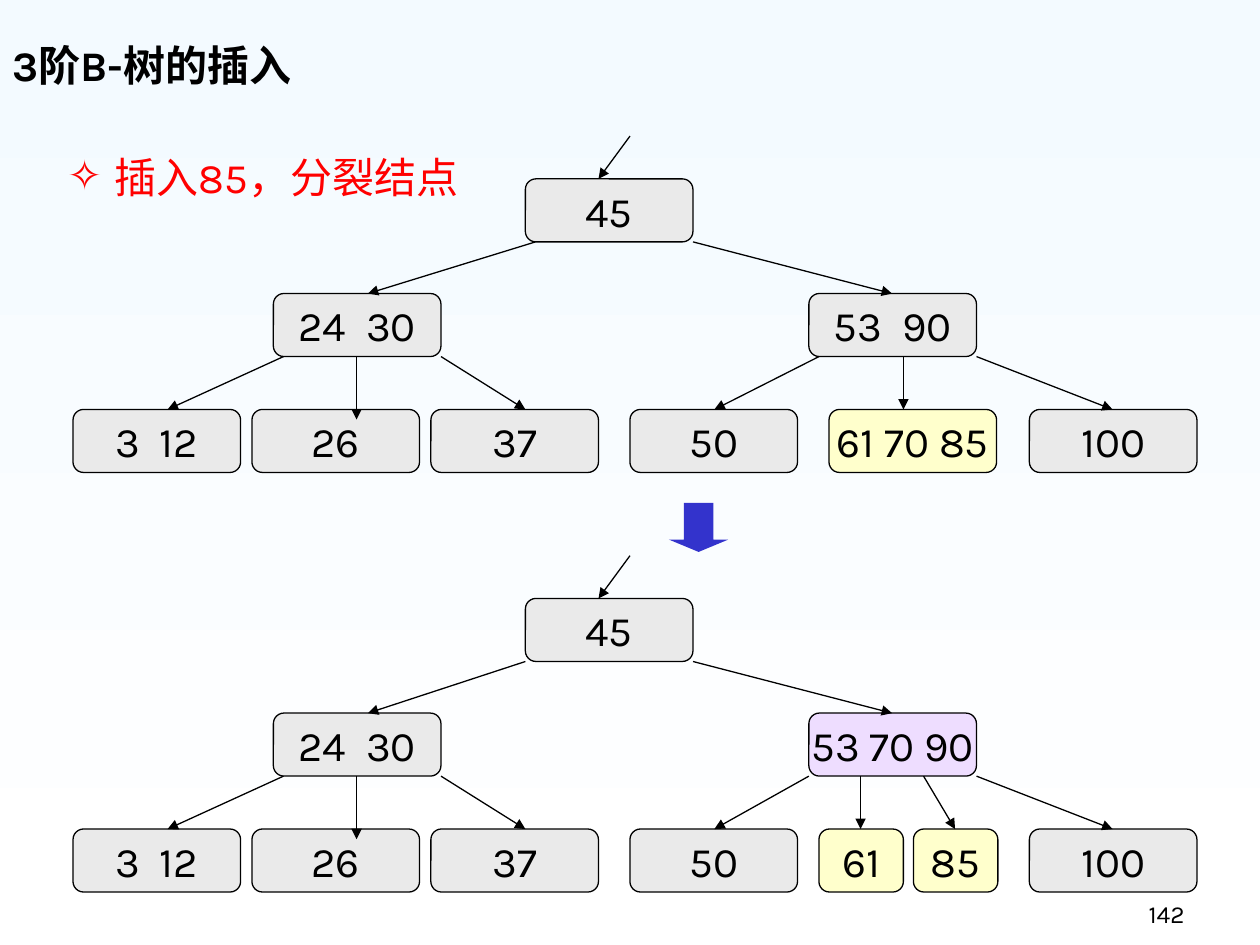
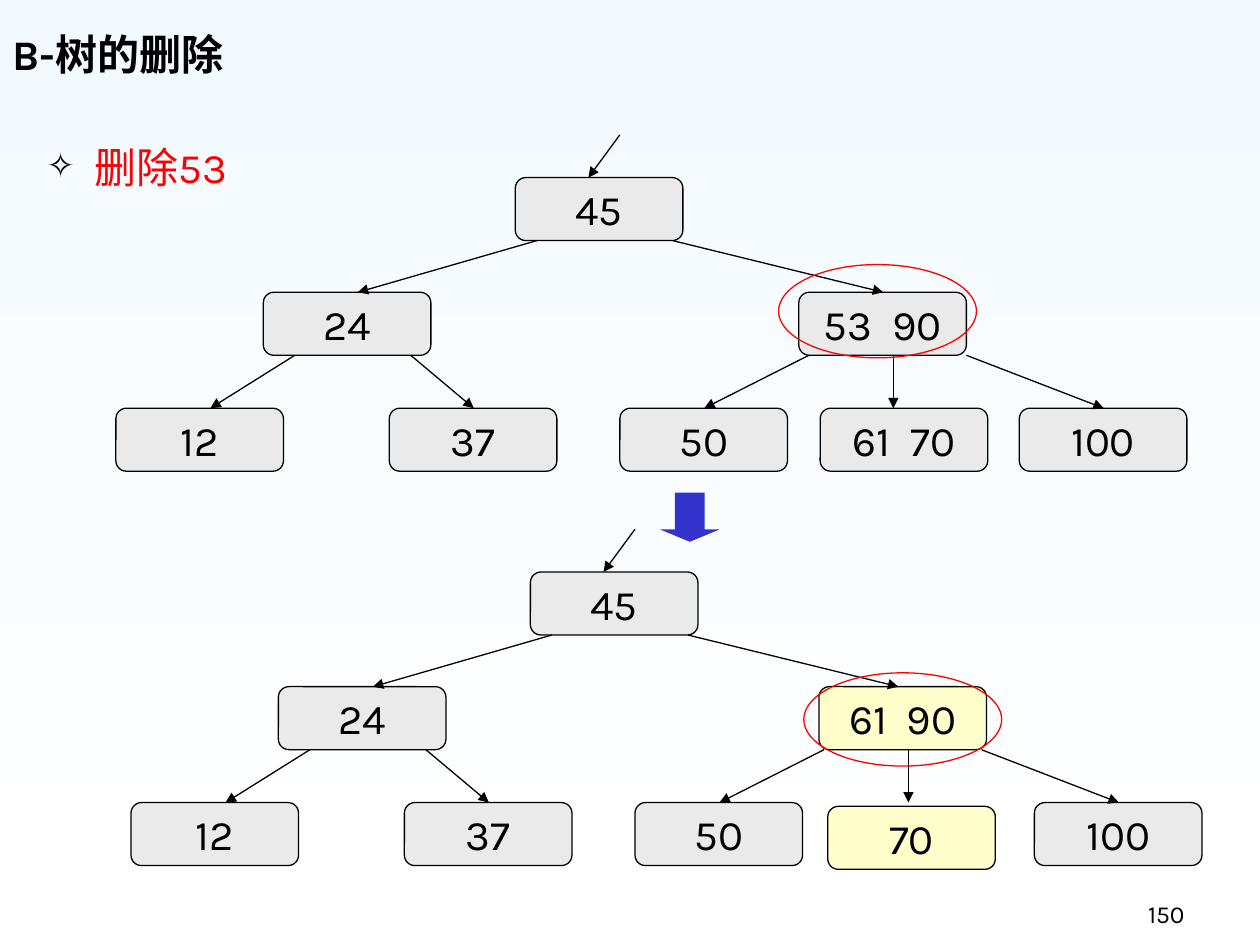
"""Build two slides on inserting into and deleting from a B-tree."""
from dataclasses import dataclass
from typing import NamedTuple

import lxml.etree
import pptx
import pptx.dml.color
import pptx.enum.shapes
import pptx.enum.text
import pptx.oxml.ns
import pptx.util

Inches = pptx.util.Inches
Pt = pptx.util.Pt
SHAPE = pptx.enum.shapes.MSO_SHAPE
ALIGN = pptx.enum.text.PP_ALIGN
ANCHOR = pptx.enum.text.MSO_ANCHOR


@dataclass(frozen=True)
class Theme:
    font: str = "Karla"
    text_size: int = 24
    number_size: int = 14
    line_width: float = 0.75
    ink: str = "000000"
    accent: str = "FF0000"
    arrow: str = "3333CC"
    node: str = "EAEAEA"
    changed: str = "FFFFCC"
    overfull: str = "EEDDFF"
    sky: str = "F3FAFF"
    white: str = "FFFFFF"


THEME = Theme()
LEVEL_TOPS = (0, 0.91, 1.83)
NODE_WIDTH, NODE_HEIGHT = 1.33, 0.5


class Box(NamedTuple):
    left: float
    top: float
    width: float
    height: float


class Node(NamedTuple):
    left: float
    level: int
    text: str
    fill: str = THEME.node
    width: float = NODE_WIDTH
    drop: float = 0


class Edge(NamedTuple):
    start: float
    level: int
    end: float
    overlap: float = 0


@dataclass(frozen=True)
class Tree:
    top: float
    stem: float
    nodes: list[Node]
    edges: list[Edge]
    shift: float = 0


@dataclass(frozen=True)
class Page:
    title: str
    title_top: float
    step: str
    step_box: Box
    step_align: int
    bullet_color: str
    bullet_percent: int
    trees: list[Tree]
    rings: list[Box]
    arrow: Box
    number: str


def rgb(color: str) -> pptx.dml.color.RGBColor:
    return pptx.dml.color.RGBColor.from_string(color)


def place(sp, box: Box) -> None:
    sp.left, sp.top, sp.width, sp.height = map(Inches, box)


def write(sp, text: str, align: int, anchor: int, size: int = THEME.text_size,
          color: str = THEME.ink, bold: bool = False, wrap: bool = True):
    tf = sp.text_frame
    tf.auto_size = pptx.enum.text.MSO_AUTO_SIZE.NONE
    tf.word_wrap = wrap
    tf.vertical_anchor = anchor
    p = tf.paragraphs[0]
    p.text = text
    p.alignment = align
    for r in p.runs:
        r.font.name, r.font.size, r.font.bold = THEME.font, Pt(size), bold
        r.font.color.rgb = rgb(color)
    return p


def add_xml(parent, tag: str, **attributes: str):
    return lxml.etree.SubElement(parent, pptx.oxml.ns.qn(tag), attributes)


def add_outline(sp, color: str) -> None:
    sp.line.color.rgb = rgb(color)
    sp.line.width = Pt(THEME.line_width)


def add_shape(s, kind: int, box: Box, fill: str = "", line: str = ""):
    sp = s.shapes.add_shape(kind, *map(Inches, box))
    sp.shadow.inherit = False
    if fill:
        sp.fill.solid()
        sp.fill.fore_color.rgb = rgb(fill)
    else:
        sp.fill.background()
    if line:
        add_outline(sp, line)
    else:
        sp.line.fill.background()
    return sp


def add_arrow(s, x1: float, y1: float, x2: float, y2: float) -> None:
    c = s.shapes.add_connector(pptx.enum.shapes.MSO_CONNECTOR.STRAIGHT,
                               *map(Inches, (x1, y1, x2, y2)))
    add_outline(c, THEME.ink)
    sp_pr = c._element.spPr
    add_xml(sp_pr.find(pptx.oxml.ns.qn("a:ln")), "a:tailEnd", type="triangle")
    add_xml(sp_pr, "a:effectLst")


def add_tree(s, tree: Tree) -> None:
    for node in tree.nodes:
        top = tree.top + LEVEL_TOPS[node.level] + node.drop
        sp = add_shape(s, SHAPE.ROUNDED_RECTANGLE,
                       Box(node.left + tree.shift, top, node.width, NODE_HEIGHT),
                       node.fill, THEME.ink)
        write(sp, node.text, ALIGN.CENTER, ANCHOR.MIDDLE, wrap=False)
    stem = tree.stem + tree.shift
    add_arrow(s, stem + 0.25, tree.top - 0.34, stem, tree.top)
    for edge in tree.edges:
        add_arrow(s, edge.start + tree.shift,
                  tree.top + LEVEL_TOPS[edge.level] + NODE_HEIGHT,
                  edge.end + tree.shift,
                  tree.top + LEVEL_TOPS[edge.level + 1] + edge.overlap)


def add_step(s, page: Page) -> None:
    sp = s.placeholders[1]
    place(sp, page.step_box)
    p = write(sp, page.step, page.step_align, ANCHOR.TOP, color=THEME.accent)
    p_pr = p._p.get_or_add_pPr()
    p_pr.set("marL", str(Inches(0.38)))
    p_pr.set("indent", str(Inches(-0.38)))
    add_xml(add_xml(p_pr, "a:buClr"), "a:srgbClr", val=page.bullet_color)
    add_xml(p_pr, "a:buSzPct", val=str(page.bullet_percent * 1000))
    add_xml(p_pr, "a:buChar", char="✧")


def add_page(prs, page: Page) -> None:
    s = prs.slides.add_slide(prs.slide_layouts[1])
    place(s.shapes.title, Box(0, page.title_top, 8.52, 0.68))
    write(s.shapes.title, page.title, ALIGN.LEFT, ANCHOR.BOTTOM, bold=True)
    add_step(s, page)
    for tree in page.trees:
        add_tree(s, tree)
    for ring in page.rings:
        add_shape(s, SHAPE.OVAL, ring, line=THEME.accent)
    add_shape(s, SHAPE.DOWN_ARROW, page.arrow, THEME.arrow).adjustments[1] = 0.25
    sp = s.shapes.add_textbox(*map(Inches, Box(7.42, 6.92, 2.08, 0.5)))
    write(sp, page.number, ALIGN.RIGHT, ANCHOR.BOTTOM, THEME.number_size)


def insertion_page() -> Page:
    nodes = [Node(4.17, 0, "45"), Node(2.17, 1, "24  30"),
             Node(0.58, 2, "3  12"), Node(2, 2, "26"), Node(3.42, 2, "37"),
             Node(5, 2, "50"), Node(8.17, 2, "100")]
    edges = [Edge(5.5, 0, 7.08), Edge(2.25, 1, 1.33), Edge(2.83, 1, 2.83, 0.08),
             Edge(3.5, 1, 4.17), Edge(7.75, 1, 8.83)]
    before = Tree(1.42, 4.75,
                  nodes + [Node(6.42, 1, "53  90"),
                           Node(6.58, 2, "61 70 85", THEME.changed)],
                  edges + [Edge(4.25, 0, 2.92), Edge(6.5, 1, 5.67),
                           Edge(7.17, 1, 7.17)])
    after = Tree(4.75, 4.75,
                 nodes + [Node(6.42, 1, "53 70 90", THEME.overfull),
                          Node(6.5, 2, "61", THEME.changed, 0.67),
                          Node(7.25, 2, "85", THEME.changed, 0.67)],
                 edges + [Edge(4.17, 0, 2.92), Edge(6.42, 1, 5.67),
                          Edge(6.83, 1, 6.83), Edge(7.33, 1, 7.58)])
    return Page("3阶B-树的插入", 0.08, "插入85，分裂结点", Box(0.27, 1.15, 3.63, 0.56),
                ALIGN.CENTER, THEME.accent, 100, [before, after], [],
                Box(5.31, 3.99, 0.47, 0.39), "142")


def deletion_page() -> Page:
    nodes = [Node(4.09, 0, "45"), Node(2.09, 1, "24"), Node(0.92, 2, "12"),
             Node(3.09, 2, "37"), Node(4.92, 2, "50"), Node(8.09, 2, "100")]
    edges = [Edge(4.26, 0, 2.84), Edge(5.34, 0, 7.01), Edge(2.34, 1, 1.67),
             Edge(3.26, 1, 3.76), Edge(6.42, 1, 5.59), Edge(7.09, 1, 7.09),
             Edge(7.67, 1, 8.76)]
    before = Tree(1.41, 4.67,
                  nodes + [Node(6.34, 1, "53  90"), Node(6.51, 2, "61  70")],
                  edges)
    after = Tree(4.54, 4.67,
                 nodes + [Node(6.38, 1, "61  90", THEME.changed),
                          Node(6.45, 2, "70", THEME.changed, drop=0.03)],
                 edges, shift=0.12)
    rings = [Box(6.18, 2.1, 1.57, 0.74), Box(6.38, 5.34, 1.57, 0.74)]
    return Page("B-树的删除", 0, "删除53", Box(0.27, 1.07, 4.25, 0.79),
                ALIGN.LEFT, THEME.ink, 80, [before, after], rings,
                Box(5.24, 3.91, 0.47, 0.39), "150")


def main() -> None:
    prs = pptx.Presentation()
    prs.slide_width, prs.slide_height = Inches(10), Inches(7.5)
    fill = prs.slide_master.background.fill
    fill.gradient()
    fill.gradient_angle = 270
    for stop, color in zip(fill.gradient_stops, (THEME.sky, THEME.white)):
        stop.color.rgb = rgb(color)
    for page in (insertion_page(), deletion_page()):
        add_page(prs, page)
    prs.save("out.pptx")


if __name__ == "__main__":
    main()
